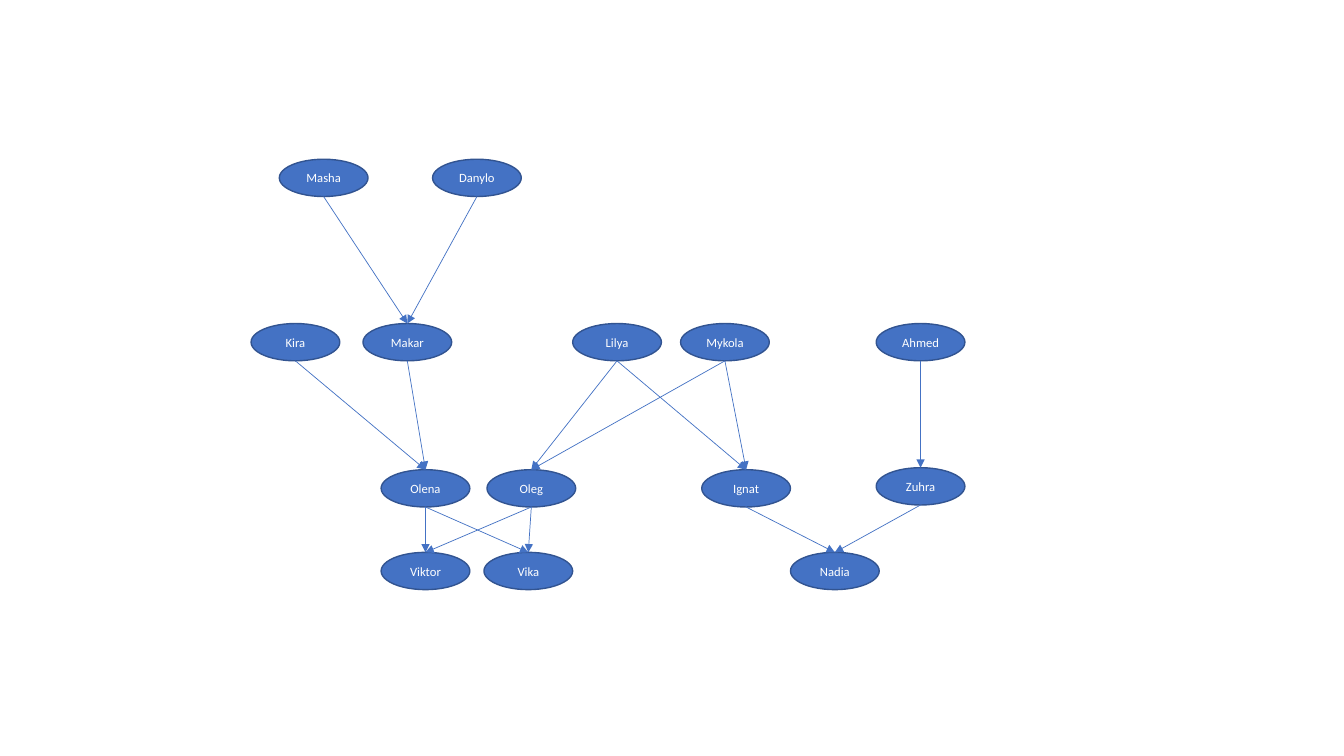
import lxml.etree
import pptx
import pptx.dml.color
import pptx.enum.shapes
import pptx.enum.text
import pptx.oxml.ns
import pptx.util

BLUE = pptx.dml.color.RGBColor(0x44, 0x72, 0xC4)
DARK_BLUE = pptx.dml.color.RGBColor(0x32, 0x54, 0x91)
WHITE = pptx.dml.color.RGBColor(0xFF, 0xFF, 0xFF)

GRID_COLUMNS, GRID_ROWS = 70.8, 42.7
PERSON_COLUMNS, PERSON_ROWS = 8.8, 3.7

GENERATIONS = [
    (0, {"Masha": 2.8, "Danylo": 18}),
    (16.3, {"Kira": 0, "Makar": 11.1, "Lilya": 31.9, "Mykola": 42.6, "Ahmed": 62}),
    (30.8, {"Olena": 12.9, "Oleg": 23.4, "Ignat": 44.7}),
    (30.6, {"Zuhra": 62}),
    (39, {"Viktor": 12.9, "Vika": 23.1, "Nadia": 53.5}),
]
CHILDREN = {
    "Masha": ["Makar"],
    "Danylo": ["Makar"],
    "Kira": ["Olena"],
    "Makar": ["Olena"],
    "Lilya": ["Oleg", "Ignat"],
    "Mykola": ["Oleg", "Ignat"],
    "Ahmed": ["Zuhra"],
    "Olena": ["Viktor", "Vika"],
    "Oleg": ["Viktor", "Vika"],
    "Ignat": ["Nadia"],
    "Zuhra": ["Nadia"],
}


def write_text(frame, text, size=9, color=WHITE, font="Calibri"):
    """Write one centred line of text into a frame."""
    frame.word_wrap = False
    frame.vertical_anchor = pptx.enum.text.MSO_ANCHOR.MIDDLE
    paragraph = frame.paragraphs[0]
    paragraph.alignment = pptx.enum.text.PP_ALIGN.CENTER
    run = paragraph.add_run()
    run.text = text
    run.font.name = font
    run.font.size = pptx.util.Pt(size)
    run.font.color.rgb = color


def add_person(slide, name, left, top, width, height):
    """Add one person's ellipse and return it."""
    person = slide.shapes.add_shape(
        pptx.enum.shapes.MSO_SHAPE.OVAL, left, top, width, height)
    person.shadow.inherit = False
    person.fill.solid()
    person.fill.fore_color.rgb = BLUE
    person.line.color.rgb = DARK_BLUE
    person.line.width = pptx.util.Pt(1)
    write_text(person.text_frame, name)
    return person


def add_descent(slide, parent, child):
    """Draw an arrow from the bottom of a parent to the top of a child."""
    arrow = slide.shapes.add_connector(
        pptx.enum.shapes.MSO_CONNECTOR.STRAIGHT,
        parent.left + parent.width // 2, parent.top + parent.height,
        child.left + child.width // 2, child.top)
    arrow.line.color.rgb = BLUE
    arrow.line.width = pptx.util.Pt(0.5)
    qn = pptx.oxml.ns.qn
    outline = arrow.line._get_or_add_ln()
    lxml.etree.SubElement(outline, qn("a:tailEnd")).set("type", "triangle")
    lxml.etree.SubElement(arrow._element.spPr, qn("a:effectLst"))


def add_family_tree(slide, left, top, width, height):
    """Place all generations and their arrows inside the given box."""
    column, row = width / GRID_COLUMNS, height / GRID_ROWS
    people = {}
    for generation_row, members in GENERATIONS:
        for name, member_column in members.items():
            people[name] = add_person(
                slide, name,
                round(left + member_column * column),
                round(top + generation_row * row),
                round(PERSON_COLUMNS * column), round(PERSON_ROWS * row))
    for parent, children in CHILDREN.items():
        for child in children:
            add_descent(slide, people[parent], people[child])


def main():
    """Build and save the family tree slide."""
    presentation = pptx.Presentation()
    presentation.slide_width = pptx.util.Inches(13.33)
    presentation.slide_height = pptx.util.Inches(7.5)
    slide = presentation.slides.add_slide(presentation.slide_layouts[6])
    add_family_tree(
        slide, pptx.util.Inches(2.49), pptx.util.Inches(1.58),
        pptx.util.Inches(7.08), pptx.util.Inches(4.27))
    presentation.save("out.pptx")


main()
